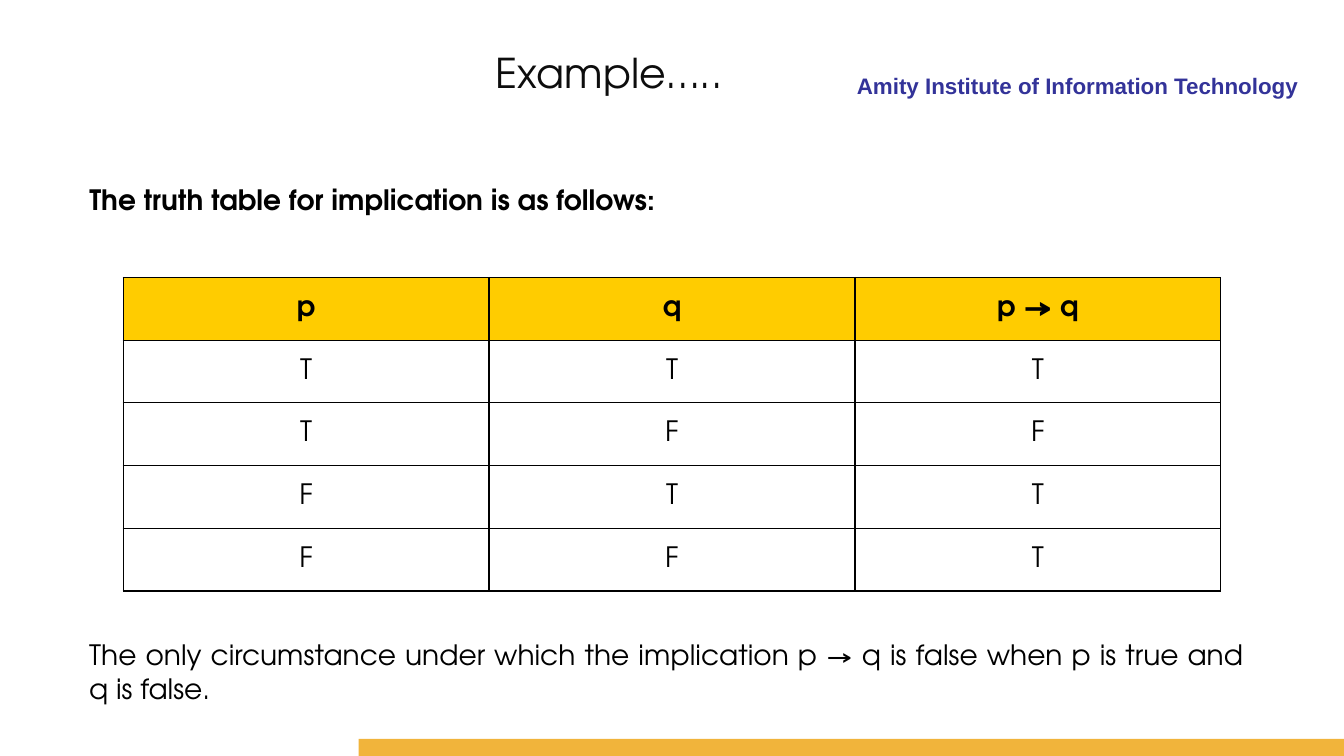
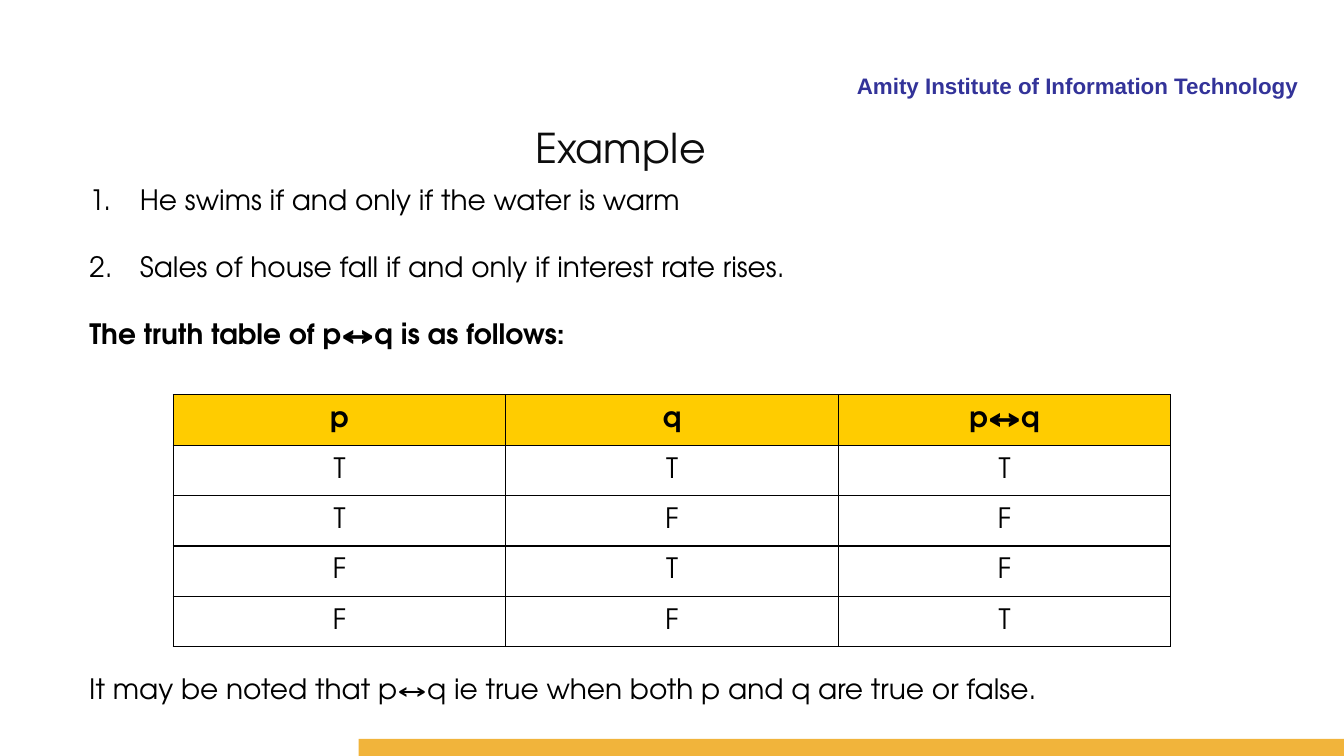
from lxml.etree import SubElement as Sub
from pptx import Presentation
from pptx.dml.color import RGBColor as Rgb
from pptx.enum.shapes import MSO_SHAPE as Shape
from pptx.enum.text import MSO_ANCHOR as Anchor, MSO_AUTO_SIZE as Fit, PP_ALIGN as Align
from pptx.oxml.ns import qn
from pptx.util import Cm, Pt

HUES = {
    "ink": "000000",
    "title": "0D0D0D",
    "brand": "333399",
    "band": "F1B43B",
    "head": "FFCC00",
}
WIDE, HIGH = 33.87, 19.05
LEFT, SPAN = 2.0, 29.6


class Deck:
    face = "TeX Gyre Adventor"
    size = 20

    def __init__(self):
        self.show = Presentation()
        self.show.slide_width = Cm(WIDE)
        self.show.slide_height = Cm(HIGH)
        self.slide = None

    def place(self, shape, left, top, width, height):
        shape.left, shape.top = Cm(left), Cm(top)
        shape.width, shape.height = Cm(width), Cm(height)

    def style(self, para, hue="ink", size=None, face=None, bold=False, align=Align.JUSTIFY):
        para.alignment = align
        for run in para.runs:
            font = run.font
            font.name = face or self.face
            font.size = Pt(size or self.size)
            font.bold = bold
            font.color.rgb = Rgb.from_string(HUES[hue])

    def frame(self, shape, wrap=True):
        frame = shape.text_frame
        frame.auto_size = Fit.NONE
        frame.word_wrap = wrap
        frame.vertical_anchor = Anchor.TOP
        return frame

    def start(self, title, left, top, width):
        self.slide = self.show.slides.add_slide(self.show.slide_layouts[1])
        self.note("Amity Institute of Information Technology", 12.93, 1.7, 20.04, 0.84,
                  hue="brand", size=16, face="Arial", bold=True, align=Align.RIGHT)
        self.band(9.04, 18.62)
        head = self.slide.shapes.title
        self.place(head, left, top, width, 1.5)
        frame = self.frame(head, False)
        frame.text = title
        self.style(frame.paragraphs[0], "title", 29.3, align=Align.LEFT)

    def band(self, left, top):
        bar = self.slide.shapes.add_shape(
            Shape.RECTANGLE, Cm(left), Cm(top), Cm(WIDE - left), Cm(HIGH - top))
        bar.shadow.inherit = False
        bar.fill.solid()
        bar.fill.fore_color.rgb = Rgb.from_string(HUES["band"])
        bar.line.fill.background()

    def note(self, text, left, top, width, height, **look):
        box = self.slide.shapes.add_textbox(Cm(left), Cm(top), Cm(width), Cm(height))
        frame = self.frame(box)
        frame.text = text
        self.style(frame.paragraphs[0], **look)

    def body(self, items, claim, height):
        box = self.slide.placeholders[1]
        self.place(box, LEFT, 4.47, SPAN, height)
        frame = self.frame(box)
        lines = [*items, claim]
        frame.text = "\n".join(lines)
        for at, para in enumerate(frame.paragraphs):
            item = at < len(items)
            self.mark(para, item)
            para.space_before = Pt(24 if at else 0)
            self.style(para, bold=not item)

    def mark(self, para, item):
        props = para._p.get_or_add_pPr()
        dent = Cm(1.27) if item else 0
        props.set("marL", str(dent))
        props.set("indent", str(-dent))
        if item:
            Sub(props, qn("a:buFontTx"))
            Sub(props, qn("a:buAutoNum"), type="arabicPeriod")
        else:
            Sub(props, qn("a:buNone"))

    def edge(self, cell):
        props = cell._tc.get_or_add_tcPr()
        for side in "LRTB":
            line = Sub(props, qn(f"a:ln{side}"), w=str(Pt(1)))
            fill = Sub(line, qn("a:solidFill"))
            Sub(fill, qn("a:srgbClr"), val=HUES["ink"])

    def table(self, rows, top, wide, high):
        count = len(rows[0])
        left = (WIDE - wide * count) / 2
        grid = self.slide.shapes.add_table(
            len(rows), count, Cm(left), Cm(top), Cm(wide * count), Cm(high * len(rows))).table
        grid.first_row = grid.horz_banding = False
        for col in grid.columns:
            col.width = Cm(wide)
        for at, row in enumerate(rows):
            grid.rows[at].height = Cm(high)
            for col, text in enumerate(row):
                cell = grid.cell(at, col)
                self.edge(cell)
                if at:
                    cell.fill.background()
                else:
                    cell.fill.solid()
                    cell.fill.fore_color.rgb = Rgb.from_string(HUES["head"])
                cell.vertical_anchor = Anchor.MIDDLE
                cell.text = text
                self.style(cell.text_frame.paragraphs[0], bold=at == 0, align=Align.CENTER)


def truth(name, ends):
    pairs = ["TT", "TF", "FT", "FF"]
    return [["p", "q", name]] + [[*pair, end] for pair, end in zip(pairs, ends)]


def main():
    deck = Deck()

    deck.start("Example…..", 12.24, 1.07, 6.5)
    deck.body([], "The truth table for implication is as follows:", 1.12)
    deck.table(truth("p → q", "TFTT"), 6.99, 9.22, 1.58)
    deck.note("The only circumstance under which the implication p → q is false "
              "when p is true and q is false.", LEFT, 15.95, SPAN, 1.96)

    deck.start("Example", 13.23, 2.97, 4.88)
    deck.body(["He swims if and only if the water is warm",
               "Sales of house fall if and only if interest rate rises."],
              "The truth table of p↔q is as follows:", 4.52)
    deck.table(truth("p↔q", "TFFT"), 9.95, 8.38, 1.27)
    deck.note("It may be noted that p↔q ie true when both p and q are true or false.",
              LEFT, 16.79, SPAN, 1.12)

    deck.show.save("out.pptx")


if __name__ == "__main__":
    main()
